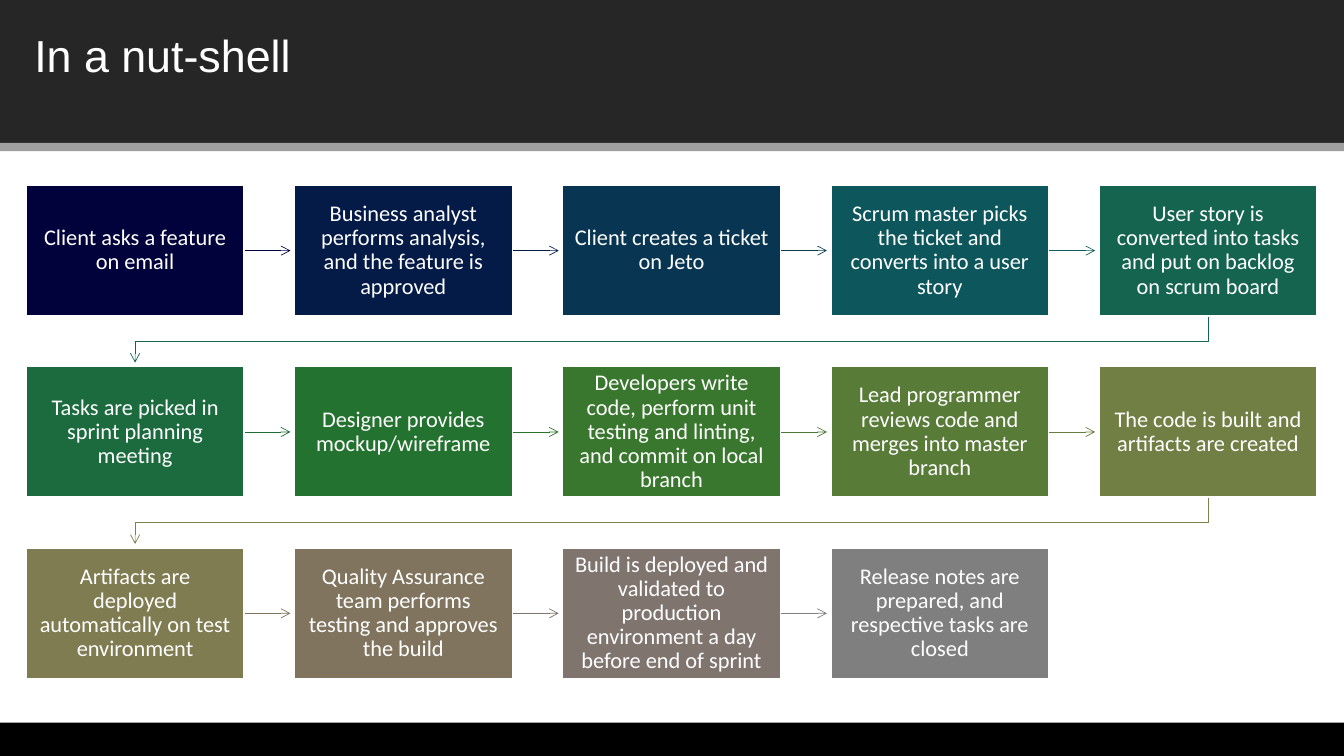
from lxml.etree import SubElement
from pptx import Presentation
from pptx.dml.color import RGBColor
from pptx.enum.shapes import MSO_CONNECTOR as CONN, MSO_SHAPE as SHAPE
from pptx.enum.text import MSO_ANCHOR as ANCHOR, PP_ALIGN as ALIGN
from pptx.oxml.ns import qn
from pptx.util import Cm, Pt

TITLE = "In a nut-shell"
STEPS = [
    ("Client asks a feature on email", "01023B", "01023B"),
    ("Business analyst performs analysis, and the feature is approved", "041A47", "041C48"),
    ("Client creates a ticket on Jeto", "083652", "093C53"),
    ("Scrum master picks the ticket and converts into a user story", "0D565B", "0F5E5D"),
    ("User story is converted into tasks and put on backlog on scrum board", "146450", "16664B"),
    ("Tasks are picked in sprint planning meeting", "1B6B3F", "1F6E38"),
    ("Designer provides mockup/wireframe", "24722F", "297429"),
    ("Developers write code, perform unit testing and linting, and commit on local branch",
     "39772E", "4B7934"),
    ("Lead programmer reviews code and merges into master branch", "587B38", "697D40"),
    ("The code is built and artifacts are created", "717E44", "807F4E"),
    ("Artifacts are deployed automatically on test environment", "807C51", "81755D"),
    ("Quality Assurance team performs testing and approves the build", "81745F", "80746D"),
    ("Build is deployed and validated to production environment a day before end of sprint",
     "80746F", "7F7F7F"),
    ("Release notes are prepared, and respective tasks are closed", "7F7F7F", None),
]
COLORS = {"white": "FFFFFF", "header": "262626", "rule": "9F9F9F", "footer": "000000"}
BANDS = [("header", 0, 3.6), ("rule", 3.6, 0.21), ("footer", 18.21, 0.84)]

SLIDE_W, SLIDE_H = 33.87, 19.05
COLS = 5
LEFT, TOP = 0.66, 4.67
BOX_W, BOX_H = 5.49, 3.29
PITCH_X, PITCH_Y = 6.76, 4.57
ARROW_GAP = 0.1


def rgb(value):
    return RGBColor.from_string(value)


def add_rect(s, x, y, w, h, fill):
    sp = s.shapes.add_shape(SHAPE.RECTANGLE, Cm(x), Cm(y), Cm(w), Cm(h))
    sp.shadow.inherit = False
    sp.fill.solid()
    sp.fill.fore_color.rgb = rgb(fill)
    sp.line.fill.background()
    return sp


def style_arrow(sp, color):
    sp.line.color.rgb = rgb(color)
    sp.line.width = Pt(0.5)
    SubElement(sp.line._get_or_add_ln(), qn("a:tailEnd"), type="arrow")


def add_straight(s, x, y, color):
    start = x + BOX_W
    end = x + PITCH_X - ARROW_GAP
    mid = Cm(y + BOX_H / 2)
    cn = s.shapes.add_connector(CONN.STRAIGHT, Cm(start), mid, Cm(end), mid)
    style_arrow(cn, color)
    SubElement(cn.element.spPr, qn("a:effectLst"))


def add_return(s, x, y, color):
    start, end = x + BOX_W / 2, LEFT + BOX_W / 2
    bottom, next_top = y + BOX_H, y + PITCH_Y
    bend = (bottom + next_top) / 2
    points = [(start, bend), (end, bend), (end, next_top - ARROW_GAP)]
    fb = s.shapes.build_freeform(Cm(start), Cm(bottom))
    fb.add_line_segments([(Cm(px), Cm(py)) for px, py in points], close=False)
    sp = fb.convert_to_shape()
    sp.shadow.inherit = False
    sp.fill.background()
    style_arrow(sp, color)


def add_step(s, x, y, text, fill):
    sp = add_rect(s, x, y, BOX_W, BOX_H, fill)
    sp.line.color.rgb = rgb(COLORS["white"])
    sp.line.width = Pt(1)
    tf = sp.text_frame
    tf.word_wrap = True
    tf.vertical_anchor = ANCHOR.MIDDLE
    tf.margin_left = tf.margin_right = tf.margin_top = tf.margin_bottom = Cm(0.28)
    p = tf.paragraphs[0]
    p.text = text
    p.alignment = ALIGN.CENTER
    p.line_spacing = 0.9
    set_font(p, "Calibri", 16)


def set_font(p, name, size):
    p.font.name = name
    p.font.size = Pt(size)
    p.font.color.rgb = rgb(COLORS["white"])


def add_title(s):
    title = s.shapes.title
    for name, y, h in BANDS:
        band = add_rect(s, 0, y, SLIDE_W, h, COLORS[name])
        title.element.addprevious(band.element)
    title.left, title.top, title.width, title.height = Cm(0.61), Cm(0.56), Cm(32.6), Cm(1.63)
    tf = title.text_frame
    tf.vertical_anchor = ANCHOR.TOP
    p = tf.paragraphs[0]
    p.text = TITLE
    p.alignment = ALIGN.LEFT
    set_font(p, "Arial", 32)


def main():
    prs = Presentation()
    prs.slide_width, prs.slide_height = Cm(SLIDE_W), Cm(SLIDE_H)
    s = prs.slides.add_slide(prs.slide_layouts[5])
    add_title(s)
    for i, (text, fill, arrow) in enumerate(STEPS):
        row, col = divmod(i, COLS)
        x, y = LEFT + col * PITCH_X, TOP + row * PITCH_Y
        if arrow:
            add_arrow = add_return if col == COLS - 1 else add_straight
            add_arrow(s, x, y, arrow)
        add_step(s, x, y, text, fill)
    prs.save("out.pptx")


if __name__ == "__main__":
    main()
